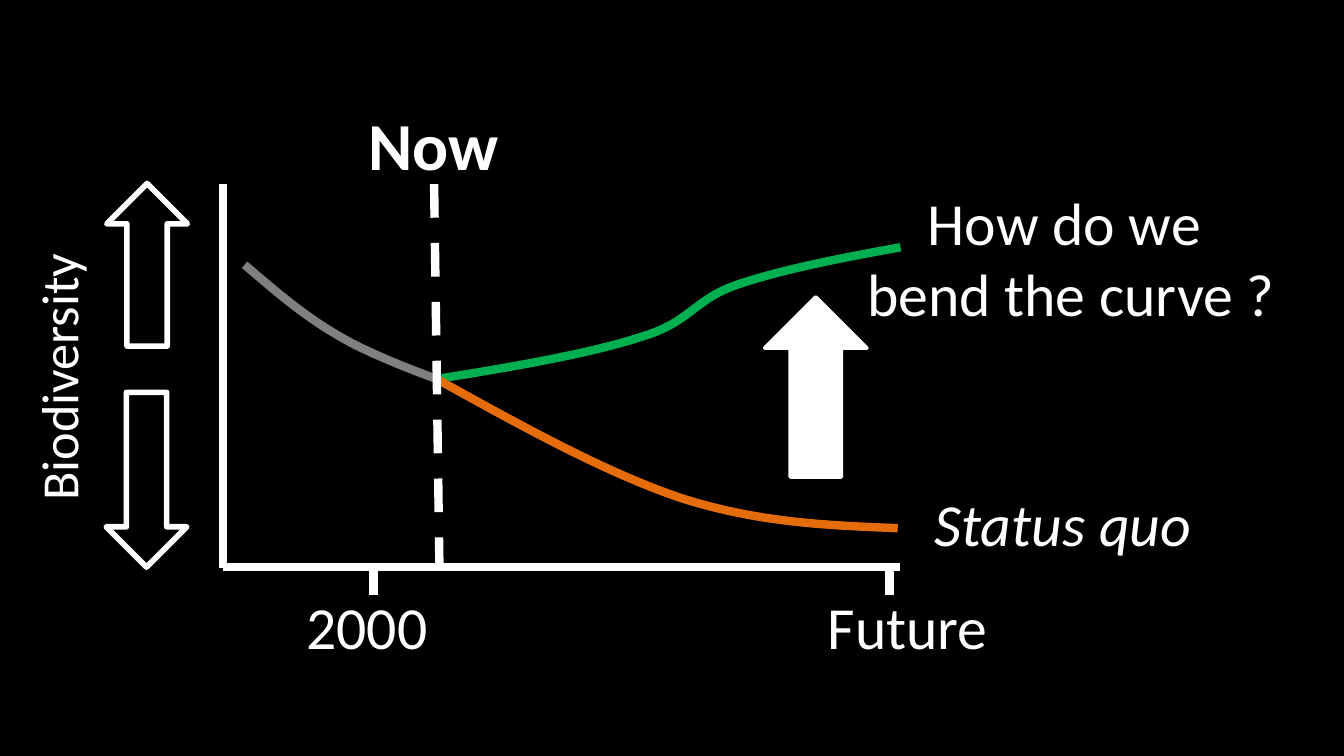
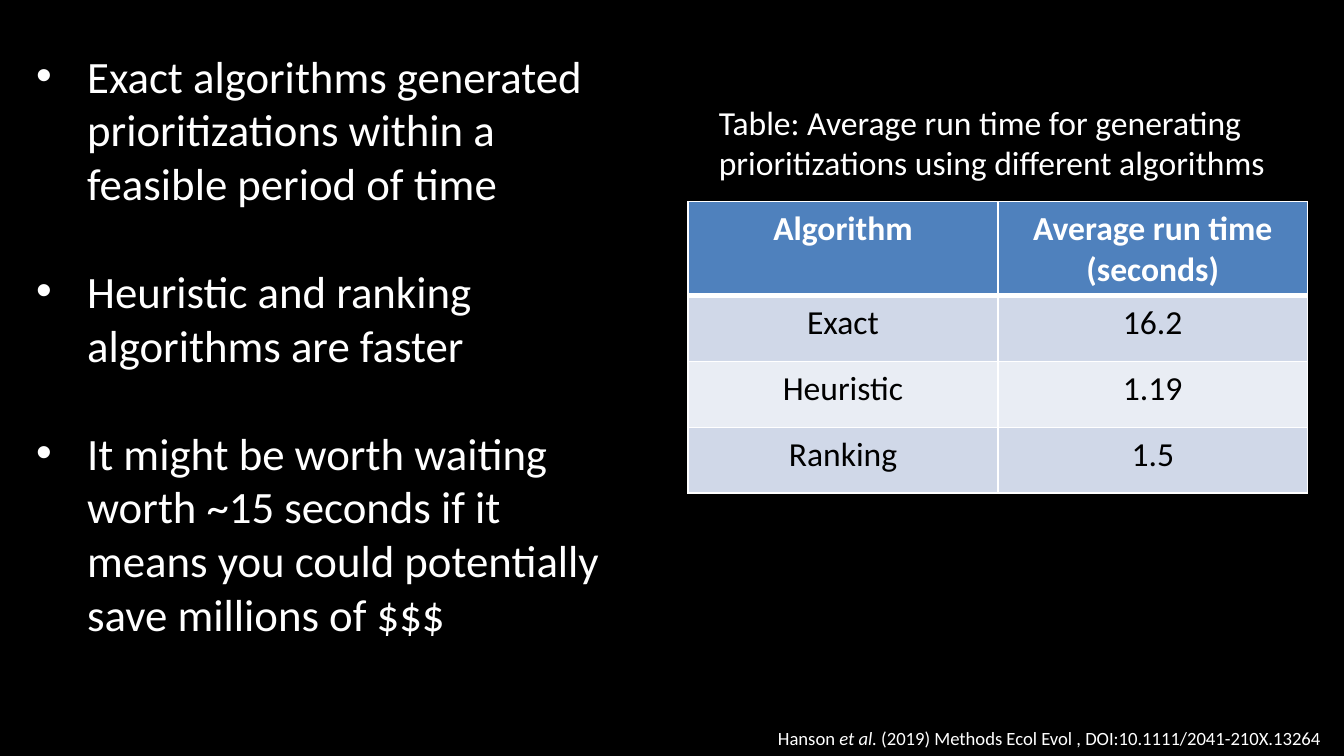
from lxml.etree import SubElement
from pptx import Presentation
from pptx.dml.color import RGBColor
from pptx.enum.dml import MSO_LINE
from pptx.enum.shapes import MSO_CONNECTOR, MSO_SHAPE as SHAPE
from pptx.enum.text import MSO_AUTO_SIZE as AUTO_SIZE, PP_ALIGN as ALIGN
from pptx.oxml.ns import qn
from pptx.util import Inches, Pt

COLORS = {
    "background": "000000", "text": "FFFFFF", "dark_text": "000000",
    "past": "808080", "recovery": "00B050", "decline": "E46C0A",
    "header": "4F81BD", "odd_row": "D0D8E8", "even_row": "E9EDF4",
}
FONT = "Calibri"
SLIDE_WIDTH = 10
SLIDE_HEIGHT = SLIDE_WIDTH * 9 / 16
AXIS_WIDTH = 4.5
CURVE_STEPS = 16


def color(name):
    return RGBColor.from_string(COLORS[name])


def write(frame, paragraphs, size, fill="text", bold=False, align=ALIGN.LEFT,
          bullet_indent=None, gap=0):
    """Fill a text frame; a paragraph is a string or a list of (text, italic)."""
    for index, content in enumerate(paragraphs):
        paragraph = frame.paragraphs[0] if index == 0 else frame.add_paragraph()
        paragraph.alignment = align
        if index:
            paragraph.space_before = Pt(gap)
        if bullet_indent:
            properties = paragraph._p.get_or_add_pPr()
            properties.set("marL", str(Inches(bullet_indent)))
            properties.set("indent", str(-Inches(bullet_indent)))
            SubElement(properties, qn("a:buFont"), typeface="Arial")
            SubElement(properties, qn("a:buChar"), char="•")
        runs = [(content, False)] if isinstance(content, str) else content
        for text, italic in runs:
            run = paragraph.add_run()
            run.text = text
            font = run.font
            font.name, font.size = FONT, Pt(size)
            font.bold, font.italic = bold, italic
            font.color.rgb = color(fill)


def bezier_points(start, segments):
    """Sample a chain of cubic segments, each (control, control, end)."""
    points = [start]
    for first, second, end in segments:
        origin = points[-1]
        for step in range(1, CURVE_STEPS + 1):
            t = step / CURVE_STEPS
            weights = ((1 - t) ** 3, 3 * t * (1 - t) ** 2, 3 * t * t * (1 - t), t ** 3)
            corners = (origin, first, second, end)
            points.append(tuple(sum(w * c[axis] for w, c in zip(weights, corners))
                                for axis in (0, 1)))
    return [(Inches(x), Inches(y)) for x, y in points]


def set_borders(cell, bottom_width):
    properties = cell._tc.get_or_add_tcPr()
    for side, width in (("L", 1), ("R", 1), ("T", 1), ("B", bottom_width)):
        border = SubElement(properties, qn(f"a:ln{side}"), w=str(Pt(width)))
        SubElement(SubElement(border, qn("a:solidFill")), qn("a:srgbClr"), val=COLORS["text"])


class Deck:
    def __init__(self):
        self.presentation = Presentation()
        self.presentation.slide_width = Inches(SLIDE_WIDTH)
        self.presentation.slide_height = Inches(SLIDE_HEIGHT)
        self.slide = None

    def new_slide(self):
        self.slide = self.presentation.slides.add_slide(self.presentation.slide_layouts[6])
        fill = self.slide.background.fill
        fill.solid()
        fill.fore_color.rgb = color("background")

    def text(self, box, paragraphs, size, wrap=False, rotation=0, **style):
        shape = self.slide.shapes.add_textbox(*map(Inches, box))
        shape.rotation = rotation
        shape.text_frame.word_wrap = wrap
        shape.text_frame.auto_size = AUTO_SIZE.SHAPE_TO_FIT_TEXT
        write(shape.text_frame, paragraphs, size, **style)

    def line(self, start, end, dashed=False):
        connector = self.slide.shapes.add_connector(
            MSO_CONNECTOR.STRAIGHT, *map(Inches, start + end))
        connector.line.color.rgb = color("text")
        connector.line.width = Pt(AXIS_WIDTH)
        if dashed:
            connector.line.dash_style = MSO_LINE.DASH
        SubElement(connector._element.spPr, qn("a:effectLst"))

    def arrow(self, kind, box, line_width, filled=False, rotation=0):
        shape = self.slide.shapes.add_shape(kind, *map(Inches, box))
        shape.rotation = rotation
        shape.shadow.inherit = False
        if filled:
            shape.fill.solid()
            shape.fill.fore_color.rgb = color("text")
        else:
            shape.fill.background()
        shape.line.color.rgb = color("text")
        shape.line.width = Pt(line_width)

    def curve(self, start, segments, line_color):
        points = bezier_points(start, segments)
        builder = self.slide.shapes.build_freeform(*points[0])
        builder.add_line_segments(points[1:], close=False)
        shape = builder.convert_to_shape()
        shape.shadow.inherit = False
        shape.fill.background()
        shape.line.color.rgb = color(line_color)
        shape.line.width = Pt(AXIS_WIDTH)

    def table(self, box, rows, row_heights, size):
        table = self.slide.shapes.add_table(
            len(rows), len(rows[0]), *map(Inches, box)).table
        for row_index, (values, height) in enumerate(zip(rows, row_heights)):
            table.rows[row_index].height = Inches(height)
            is_header = row_index == 0
            band = "header" if is_header else ("even_row", "odd_row")[row_index % 2]
            for column, value in enumerate(values):
                cell = table.cell(row_index, column)
                set_borders(cell, 3 if is_header else 1)
                cell.fill.solid()
                cell.fill.fore_color.rgb = color(band)
                write(cell.text_frame, [value], size, bold=is_header, align=ALIGN.CENTER,
                      fill="text" if is_header else "dark_text")


def add_curve_slide(deck):
    deck.new_slide()
    axis_x, axis_y, axis_top, axis_right = 1.66, 4.22, 1.37, 6.7
    now = (3.25, 2.82)

    deck.line((axis_x, axis_top), (axis_x, axis_y + 0.01))
    deck.line((axis_x, axis_y), (axis_right, axis_y))
    for label, tick_x, left, width in (("2000", 2.78, 2.18, 1.11), ("Future", 6.62, 6.06, 1.41)):
        deck.text((left, 4.34, width, 0.64), [label], 32)
        deck.line((tick_x, axis_y), (tick_x, axis_y + 0.21))

    deck.text((-0.6, 2.51, 2.06, 0.57), ["Biodiversity"], 28, rotation=270)
    deck.arrow(SHAPE.RIGHT_ARROW, (0.49, 1.67, 1.21, 0.6), 3, rotation=270)
    deck.arrow(SHAPE.RIGHT_ARROW, (0.44, 3.27, 1.3, 0.6), 3, rotation=90)

    deck.curve(now, [((3.82, 2.73), (4.39, 2.63), (4.76, 2.51)),
                     ((5.14, 2.4), (5.16, 2.23), (5.48, 2.12)),
                     ((5.8, 2.01), (6.25, 1.92), (6.7, 1.84))], "recovery")
    deck.text((6.24, 1.33, 3.46, 1.72), ["How do we ", "bend the curve ?"], 32,
              wrap=True, align=ALIGN.CENTER)
    deck.text((2.64, 0.72, 1.18, 0.71), ["Now"], 36, bold=True)
    deck.arrow(SHAPE.UP_ARROW, (5.69, 2.21, 0.76, 1.34), 2, filled=True)
    deck.text((6.84, 3.57, 2.14, 0.64), [[("Status quo", True)]], 32, align=ALIGN.CENTER)
    deck.curve(now, [((3.88, 3.17), (4.51, 3.52), (5.08, 3.71)),
                     ((5.65, 3.89), (6.16, 3.91), (6.68, 3.93))], "decline")
    deck.curve((1.82, 1.97), [((2.08, 2.19), (2.29, 2.38), (2.63, 2.56)),
                              ((2.81, 2.65), (3.03, 2.74), now)], "past")
    deck.line((3.23, axis_top), (3.27, axis_y + 0.01), dashed=True)


def add_run_time_slide(deck):
    deck.new_slide()
    deck.text((0.17, 0.31, 4.45, 4.54), [
        "Exact algorithms generated prioritizations within a feasible period of time",
        "Heuristic and ranking algorithms are faster",
        "It might be worth waiting worth ~15 seconds if it means you could "
        "potentially save millions of $$$",
    ], 24, wrap=True, bullet_indent=0.38, gap=29)
    deck.table((5.12, 1.5, 4.61, 2.16), [
        ("Algorithm", "Average run time (seconds)"),
        ("Exact", "16.2"),
        ("Heuristic", "1.19"),
        ("Ranking", "1.5"),
    ], [0.69] + [0.49] * 3, 18)
    deck.text((5.69, 5.36, 4.31, 0.27), [[
        ("Hanson ", False), ("et al.", True),
        (" (2019) Methods Ecol Evol , DOI:10.1111/2041-210X.13264", False),
    ]], 10)
    deck.text((5.25, 0.71, 4.35, 0.71), [
        "Table: Average run time for generating prioritizations using different algorithms",
    ], 18, wrap=True)


def main():
    deck = Deck()
    add_curve_slide(deck)
    add_run_time_slide(deck)
    deck.presentation.save("out.pptx")


if __name__ == "__main__":
    main()
